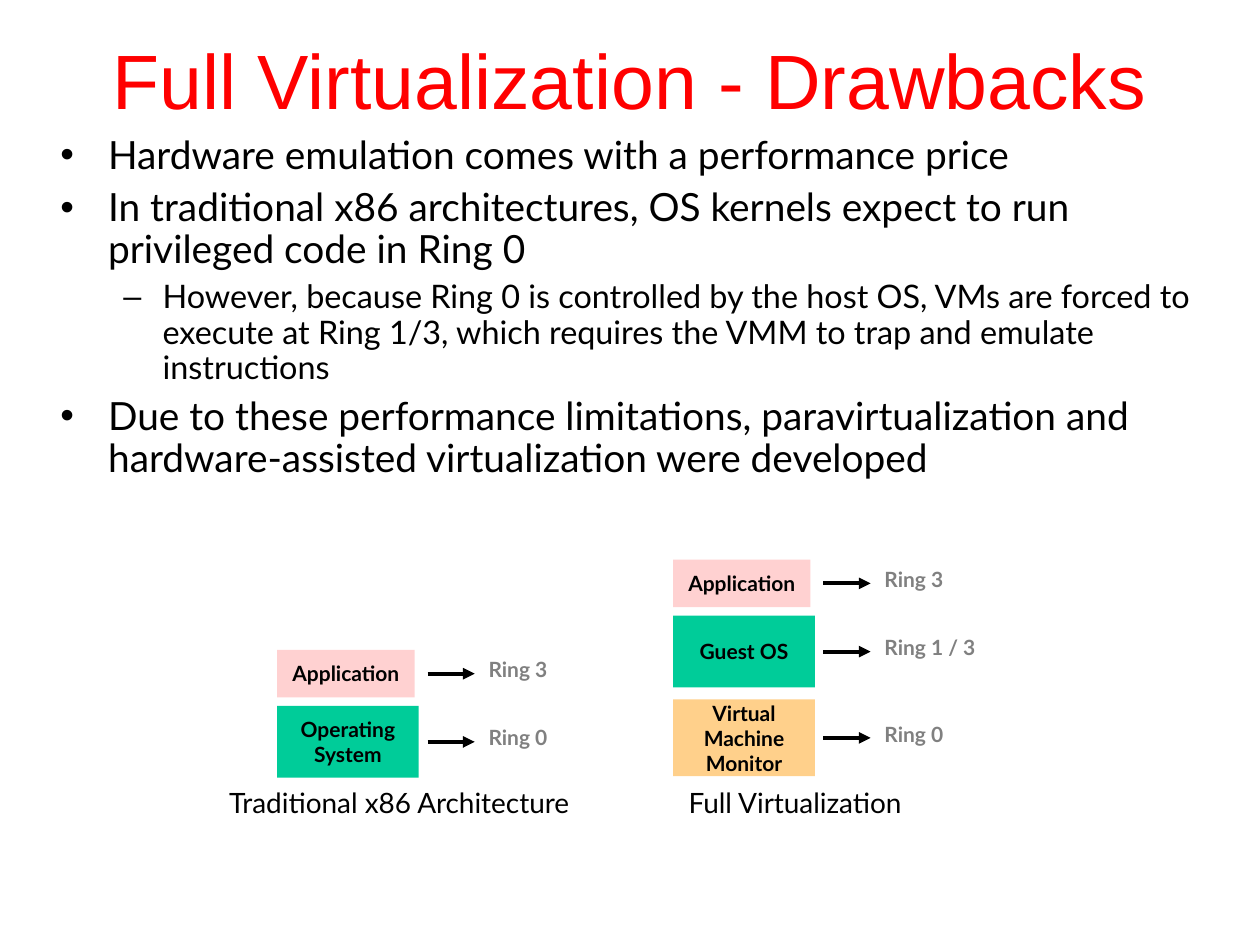
from lxml import etree
from pptx import Presentation
from pptx.dml.color import RGBColor
from pptx.enum.shapes import MSO_CONNECTOR as Connector, MSO_SHAPE as Shape
from pptx.enum.text import MSO_ANCHOR as Anchor, PP_ALIGN as Align
from pptx.oxml.ns import qn
from pptx.util import Cm, Pt

BLACK = RGBColor(0x00, 0x00, 0x00)
RED = RGBColor(0xFF, 0x00, 0x00)
GRAY = RGBColor(0x80, 0x80, 0x80)
PINK = RGBColor(0xFF, 0xD1, 0xD1)
GREEN = RGBColor(0x00, 0xCC, 0x99)
ORANGE = RGBColor(0xFF, 0xD0, 0x8B)

# Per bullet level: character, indent (cm), hanging (cm), space before, size
LEVELS = [("•", 0.96, 0.96, 6, 22.2), ("–", 2.06, 0.79, 5, 18.5)]
BULLETS = [
    (0, "Hardware emulation comes with a performance price"),
    (0, "In traditional x86 architectures, OS kernels expect to run "
        "privileged code in Ring 0"),
    (1, "However, because Ring 0 is controlled by the host OS, VMs are forced "
        "to execute at Ring 1/3, which requires the VMM to trap and emulate "
        "instructions"),
    (0, "Due to these performance limitations, paravirtualization and "
        "hardware-assisted virtualization were developed"),
]

# Per layer: text, ring, offset from the stack top, width, height (cm), fill
APPLICATION = ("Application", "Ring 3", 0, 2.77, 0.96, PINK)
TRADITIONAL = [
    APPLICATION,
    ("Operating\nSystem", "Ring 0", 1.13, 2.85, 1.45, GREEN),
]
VIRTUALIZED = [
    APPLICATION,
    ("Guest OS", "Ring 1 / 3", 1.13, 2.86, 1.45, GREEN),
    ("Virtual\nMachine\nMonitor", "Ring 0", 2.82, 2.86, 1.55, ORANGE),
]


def write(shape, text, size, color=BLACK, font="Lato", bold=False,
          align=Align.CENTER, wrap=False):
    """Fill a shape with vertically centred text."""
    frame = shape.text_frame
    frame.text = text
    frame.word_wrap = wrap
    frame.vertical_anchor = Anchor.MIDDLE
    for paragraph in frame.paragraphs:
        paragraph.alignment = align
        for run in paragraph.runs:
            run.font.name = font
            run.font.size = Pt(size)
            run.font.bold = bold
            run.font.color.rgb = color


def add_title(slide, left, top, width, height):
    box = slide.shapes.add_textbox(Cm(left), Cm(top), Cm(width), Cm(height))
    write(box, "Full Virtualization - Drawbacks", 44, RED, "Arial", wrap=True)


def add_bullets(slide, left, top, width, height):
    box = slide.shapes.add_textbox(Cm(left), Cm(top), Cm(width), Cm(height))
    frame = box.text_frame
    frame.word_wrap = True
    frame.margin_left = frame.margin_right = 0
    frame.margin_top = frame.margin_bottom = 0
    for index, (level, text) in enumerate(BULLETS):
        character, indent, hanging, space, size = LEVELS[level]
        paragraph = frame.add_paragraph() if index else frame.paragraphs[0]
        paragraph.text = text
        paragraph.level = level
        paragraph.line_spacing = 0.9
        paragraph.space_before = Pt(space if index else 0)
        properties = paragraph._p.get_or_add_pPr()
        properties.set("marL", str(Cm(indent)))
        properties.set("indent", str(-Cm(hanging)))
        etree.SubElement(properties, qn("a:buFont"), typeface="Arial")
        etree.SubElement(properties, qn("a:buChar"), char=character)
        font = paragraph.runs[0].font
        font.name = "Lato"
        font.size = Pt(size)
        font.color.rgb = BLACK


def add_arrow(shapes, start, end, middle):
    arrow = shapes.add_connector(Connector.STRAIGHT, Cm(start), Cm(middle),
                                 Cm(end), Cm(middle))
    arrow.line.color.rgb = BLACK
    arrow.line.width = Pt(2.25)
    etree.SubElement(arrow.line._get_or_add_ln(), qn("a:tailEnd"),
                     type="triangle")
    etree.SubElement(arrow._element.spPr, qn("a:effectLst"))


def add_stack(slide, left, top, bottom, layers, caption, caption_width):
    """Layers with an arrow to their ring, above a caption."""
    shapes = slide.shapes.add_group_shape().shapes
    for text, ring, offset, width, height, fill in layers:
        # Layer box
        box = shapes.add_shape(Shape.RECTANGLE, Cm(left), Cm(top + offset),
                               Cm(width), Cm(height))
        box.shadow.inherit = False
        box.fill.solid()
        box.fill.fore_color.rgb = fill
        box.line.fill.background()
        write(box, text, 12, bold=True)

        # Arrow and ring label
        middle = top + offset + height / 2
        add_arrow(shapes, left + 3.03, left + 3.98, middle)
        label_width = 1.88 if len(ring) <= 6 else 2.4
        label = shapes.add_textbox(Cm(left + 4.01), Cm(middle - 0.46),
                                   Cm(label_width), Cm(0.75))
        write(label, ring, 12, GRAY, bold=True, align=Align.LEFT)

    # Caption, centred under the boxes and ring labels
    center = left + 2.46
    box = shapes.add_textbox(Cm(center - caption_width / 2), Cm(bottom),
                             Cm(caption_width), Cm(1.04))
    write(box, caption, 16)


def main():
    presentation = Presentation()
    presentation.slide_width = Cm(25.4)
    presentation.slide_height = Cm(19.05)
    slide = presentation.slides.add_slide(presentation.slide_layouts[6])
    add_title(slide, 0, 0, 25.4, 3.18)
    add_bullets(slide, 1.22, 2.74, 22.96, 8.66)
    add_stack(slide, 5.59, 13.1, 15.65, TRADITIONAL,
              "Traditional x86 Architecture", 7.8)
    add_stack(slide, 13.57, 11.28, 15.65, VIRTUALIZED,
              "Full Virtualization", 5.18)
    presentation.save("out.pptx")


if __name__ == "__main__":
    main()
